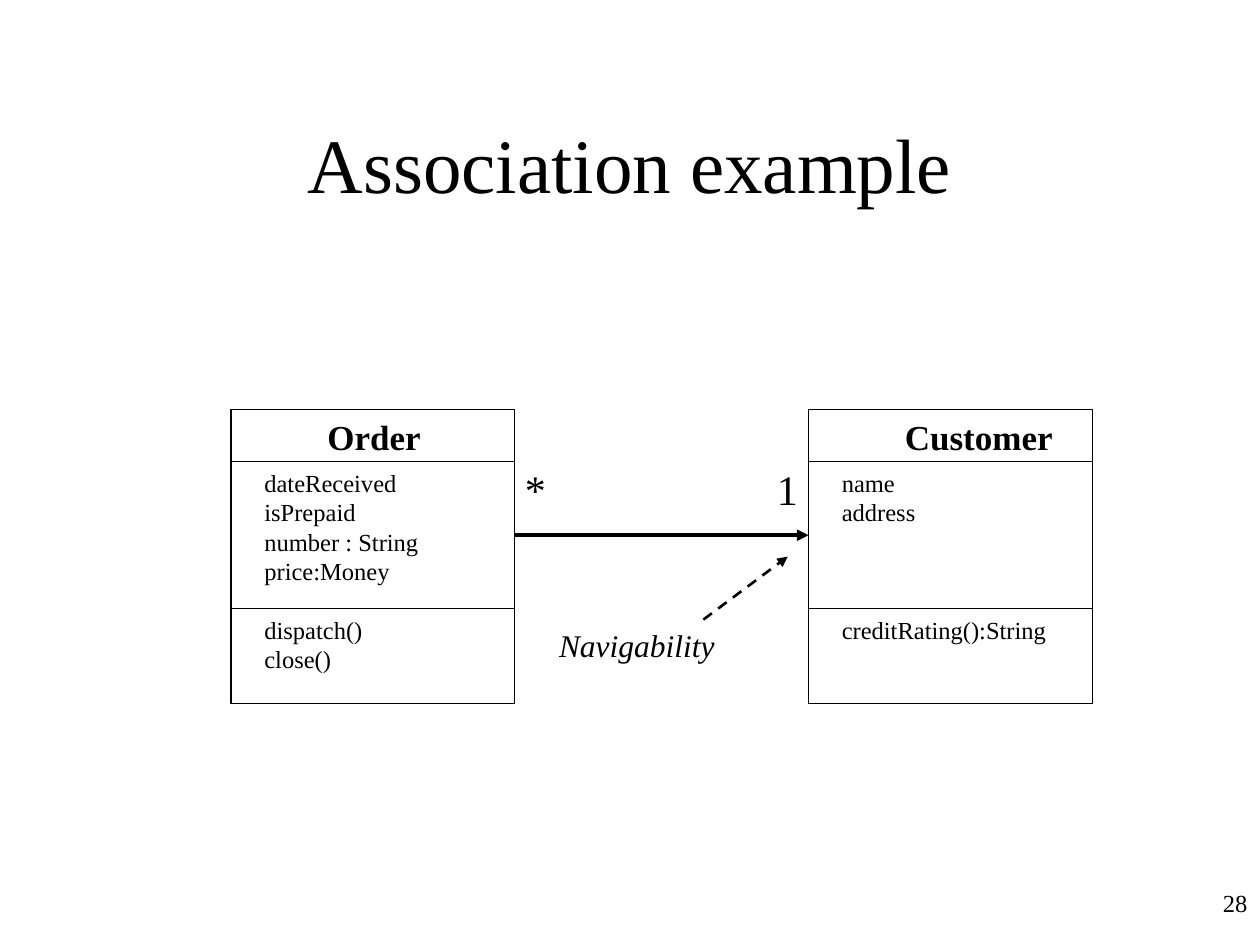
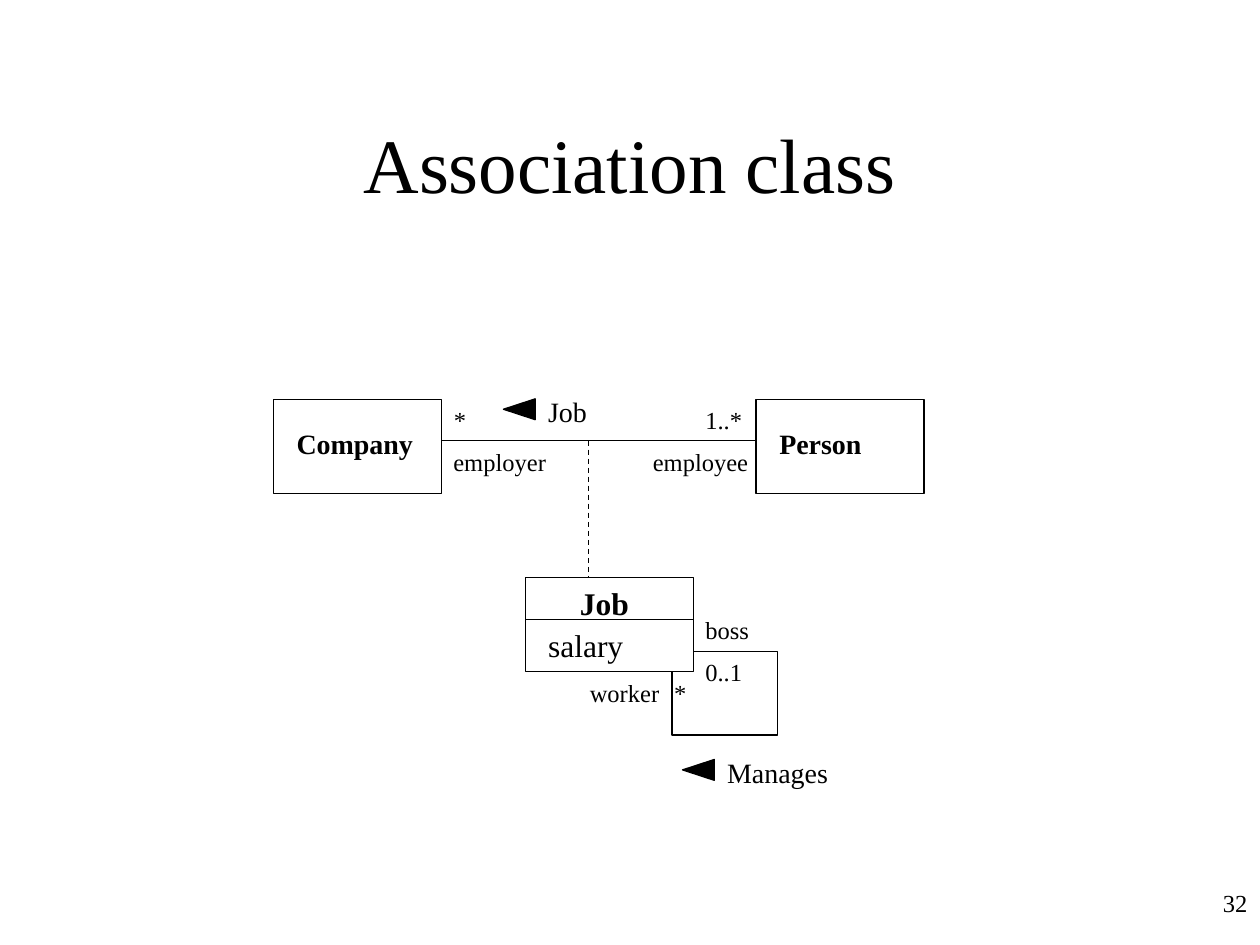
import pptx
import pptx.util
import pptx.dml.color
import pptx.enum.dml
import pptx.enum.shapes
import pptx.enum.text
import pptx.oxml
import pptx.oxml.ns
from dataclasses import dataclass

Cm, Pt = pptx.util.Cm, pptx.util.Pt
RGB = pptx.dml.color.RGBColor
Align = pptx.enum.text.PP_ALIGN
Anchor = pptx.enum.text.MSO_ANCHOR
Fit = pptx.enum.text.MSO_AUTO_SIZE
Shape = pptx.enum.shapes.MSO_SHAPE
Dash = pptx.enum.dml.MSO_LINE.DASH


@dataclass(frozen=True)
class Theme:
    ink: RGB = RGB(0, 0, 0)
    paper: RGB = RGB(255, 255, 255)
    face: str = "Times New Roman"
    title: int = 44
    mark: int = 24
    head: int = 20
    body: int = 18
    label: int = 16
    small: int = 14
    thin: float = 0.75
    slack: float = 0.08


class Deck:
    """Holds the theme and the slide being drawn."""

    def __init__(self, theme):
        self.theme = theme
        self.file = pptx.Presentation()
        self.file.slide_width, self.file.slide_height = Cm(25.4), Cm(19.05)
        self.slide = None

    def start(self, title, number):
        """Open a slide with its title and page number."""
        self.slide = self.file.slides.add_slide(self.file.slide_layouts[6])
        self.text(title, 1.9, 1.7, 21.6, self.theme.title, tall=3.18,
                  align=Align.CENTER, anchor=Anchor.MIDDLE)
        self.text(number, 20.11, 17.78, 5.29, self.theme.small, tall=1.27,
                  align=Align.RIGHT)

    def text(self, words, x, y, wide, size, tall=None, align=Align.LEFT,
             anchor=Anchor.TOP, **style):
        """Fixed box if a height is given, else a label that fits its lines."""
        lines = words.split("\n")
        fit = tall is None
        if fit:
            wide += self.theme.slack
            tall = 0.25 + len(lines) * size * 0.0423
        box = self.slide.shapes.add_textbox(Cm(x), Cm(y), Cm(wide), Cm(tall))
        frame = box.text_frame
        form = {"word_wrap": not fit, "vertical_anchor": anchor,
                "auto_size": Fit.SHAPE_TO_FIT_TEXT if fit else Fit.NONE}
        for key, value in form.items():
            setattr(frame, key, value)
        font = {"name": self.theme.face, "size": Pt(size), **style}
        for i, line in enumerate(lines):
            para = frame.add_paragraph() if i else frame.paragraphs[0]
            para.alignment = align
            run = para.add_run()
            run.text = line
            run.font.color.rgb = self.theme.ink
            for key, value in font.items():
                setattr(run.font, key, value)

    def shape(self, kind, x, y, wide, tall, fill, turn=0):
        item = self.slide.shapes.add_shape(kind, Cm(x), Cm(y), Cm(wide), Cm(tall))
        item.shadow.inherit = False
        item.rotation = turn
        item.fill.solid()
        item.fill.fore_color.rgb = fill
        item.line.color.rgb = self.theme.ink
        item.line.width = Pt(self.theme.thin)

    def line(self, x1, y1, x2, y2, width=None, dash=None, arrow=False):
        item = self.slide.shapes.add_connector(
            pptx.enum.shapes.MSO_CONNECTOR.STRAIGHT, Cm(x1), Cm(y1), Cm(x2), Cm(y2))
        item.line.color.rgb = self.theme.ink
        form = {"width": Pt(width or self.theme.thin), "dash_style": dash}
        for key, value in form.items():
            setattr(item.line, key, value)
        props = item._element.spPr
        if arrow:
            end = pptx.oxml.ns.qn("a:tailEnd")
            item.line._get_or_add_ln().append(props.makeelement(end, {"type": "triangle"}))
        props.append(props.makeelement(pptx.oxml.ns.qn("a:effectLst"), {}))

    def uml(self, x, y, wide, tall, parts, rules=()):
        """Class box; part: words, offset x, offset y, width, size, bold."""
        self.shape(Shape.RECTANGLE, x, y, wide, tall, self.theme.paper)
        for drop in rules:
            self.line(x, y + drop, x + wide, y + drop)
        for words, dx, dy, span, size, bold in parts:
            self.text(words, x + dx, y + dy, span, size, bold=bold)

    def verb(self, words, x, y, wide):
        """Association name with its reading direction."""
        self.text(words, x, y, wide, self.theme.label)
        self.shape(Shape.ISOSCELES_TRIANGLE, x - 0.54, y + 0.1, 0.42, 0.64,
                   self.theme.ink, turn=270)


def order(deck):
    look = deck.theme
    deck.start("Association example", "28")

    # Classes with attributes and operations
    top, wide, rules = 8.26, 5.72, (1.05, 4.01)
    left, right = 4.66, 16.3
    classes = [
        (left, ("Order", 2.39),
         ("dateReceived\nisPrepaid\nnumber : String\nprice:Money", 3.61),
         ("dispatch()\nclose()", 2.49)),
        (right, ("Customer", 3.48), ("name\naddress", 1.98),
         ("creditRating():String", 4.62)),
    ]
    for x, name, fields, calls in classes:
        parts = [(name[0], 1.69, 0, name[1], look.head, True)]
        for (words, span), drop in zip((fields, calls), rules):
            parts.append((words, 0.42, drop, span, look.small, False))
        deck.uml(x, top, wide, 5.93, parts, rules)

    # Association and its ends
    deck.line(left + wide, 10.79, right, 10.79, width=2.25, arrow=True)
    for words, x in (("*", 10.33), ("1", 15.41)):
        deck.text(words, x, 9.22, 0.91, look.mark)

    # Callout
    deck.text("Navigability", 11.02, 12.5, 3.63, look.body, italic=True)
    deck.line(14.18, 12.49, 15.88, 11.22, width=1.5, dash=Dash, arrow=True)


def job(deck):
    look = deck.theme
    deck.start("Association class", "32")
    wide, tall, top, mid = 3.39, 1.9, 8.05, 8.88
    left, right = 5.51, 15.24

    # Loop behind the association class
    deck.shape(Shape.RECTANGLE, 13.55, 13.13, 2.12, 1.69, look.paper)

    # Linked classes
    for words, x, span in (("Company", left, 2.84), ("Person", right, 2.31)):
        deck.uml(x, top, wide, tall, [(words, 0.22, 0.43, span, look.label, True)])
    deck.line(left + wide, mid, right, mid)

    # Association class
    deck.uml(10.59, 11.64, wide, tall,
             [("Job", 0.85, 0, 1.5, look.body, True),
              ("salary", 0.21, 0.85, 2.01, look.body, False)], rules=(0.85,))
    deck.line(11.86, mid, 11.86, 11.64, dash=Dash)

    # Roles and counts
    for words, x, y, span in (
            ("*", 8.9, top, 0.76), ("1..*", 13.97, top, 1.24),
            ("employer", 8.89, mid, 2.36), ("employee", 12.91, mid, 2.44),
            ("boss", 13.97, 12.28, 1.37), ("0..1", 13.97, 13.12, 1.24),
            ("worker", 11.64, 13.55, 1.9), ("*", 13.34, 13.55, 0.76)):
        deck.text(words, x, y, span, look.small)

    # Association names
    deck.verb("Job", 10.8, 7.83, 1.3)
    deck.verb("Manages", 14.41, 15.1, 2.54)


def main():
    deck = Deck(Theme())
    order(deck)
    job(deck)
    deck.file.save("out.pptx")


if __name__ == "__main__":
    main()
